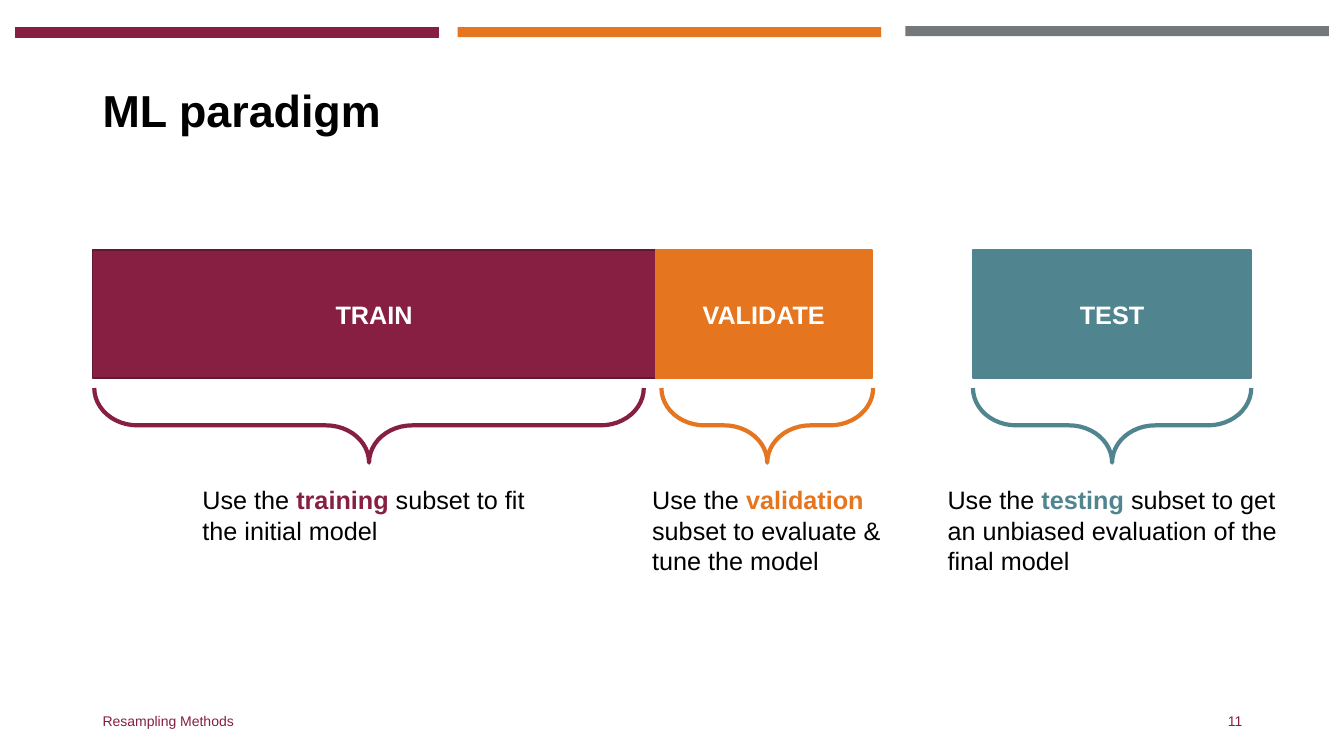
"""Build the ML paradigm slide with its train, validate and test subsets."""
from dataclasses import dataclass

from pptx import Presentation
from pptx import util as u
from pptx.dml import color
from pptx.enum import shapes, text

COLORS = {"maroon": "861F41", "dark_maroon": "631730", "orange": "E5751F",
          "teal": "508590", "gray": "75787B", "black": "000000", "white": "FFFFFF"}
BODY = {"name": "Arial", "size": u.Pt(18), "bold": False}
STRONG = {**BODY, "bold": True}
TITLE = {**STRONG, "size": u.Pt(32)}
FOOTER = {**BODY, "size": u.Pt(10)}
BLOCK_TOP, BLOCK_HEIGHT = 2.48, 1.27
BRACE_MIDDLE, BRACE_DEPTH = 4.22, 0.74
CAPTION_TOP = 4.76


@dataclass(frozen=True)
class Band:
    left: float
    top: float
    hue: str


@dataclass(frozen=True)
class Run:
    words: str
    style: dict
    hue: str = "black"


@dataclass(frozen=True)
class Subset:
    label: str
    hue: str
    edge: str
    left: float
    width: float
    brace_center: float
    brace_span: float
    caption_left: float
    caption_width: float
    caption_height: float
    keyword: str
    purpose: str


BANDS = [Band(0.15, 0.27, "maroon"), Band(4.54, 0.27, "orange"),
         Band(8.98, 0.26, "gray")]
SUBSETS = [
    Subset("TRAIN", "maroon", "dark_maroon", 0.92, 5.58, 3.66, 5.45,
           1.91, 3.5, 0.71, "training", " subset to fit the initial model"),
    Subset("VALIDATE", "orange", "orange", 6.5, 2.15, 7.61, 2.1,
           6.37, 2.5, 1.01, "validation", " subset to evaluate & tune the model"),
    Subset("TEST", "teal", "teal", 9.65, 2.76, 11.03, 2.76,
           9.3, 3.53, 1.01, "testing",
           " subset to get an unbiased evaluation of the final model"),
]


def rgb(hue: str) -> color.RGBColor:
    return color.RGBColor.from_string(COLORS[hue])


def write(frame, runs: list[Run], anchor=text.MSO_ANCHOR.MIDDLE,
          align=text.PP_ALIGN.LEFT) -> None:
    frame.word_wrap = True
    frame.vertical_anchor = anchor
    paragraph = frame.paragraphs[0]
    paragraph.alignment = align
    for piece in runs:
        run = paragraph.add_run()
        run.text = piece.words
        for attribute, value in piece.style.items():
            setattr(run.font, attribute, value)
        run.font.color.rgb = rgb(piece.hue)


def add_words(slide, left: float, top: float, width: float, height: float,
              runs: list[Run], **layout):
    box = slide.shapes.add_textbox(*map(u.Inches, (left, top, width, height)))
    write(box.text_frame, runs, **layout)
    return box.text_frame


def add_block(slide, left: float, top: float, width: float, height: float,
              fill: str | None, line: str | None, weight: float = 1,
              kind=shapes.MSO_SHAPE.RECTANGLE):
    block = slide.shapes.add_shape(kind, *map(u.Inches, (left, top, width, height)))
    block.shadow.inherit = False
    if fill:
        block.fill.solid()
        block.fill.fore_color.rgb = rgb(fill)
    else:
        block.fill.background()
    if line:
        block.line.color.rgb = rgb(line)
        block.line.width = u.Pt(weight)
    else:
        block.line.fill.background()
    return block


def add_subset(slide, subset: Subset) -> None:
    block = add_block(slide, subset.left, BLOCK_TOP, subset.width, BLOCK_HEIGHT,
                      subset.hue, subset.edge)
    write(block.text_frame, [Run(subset.label, STRONG, "white")],
          align=text.PP_ALIGN.CENTER)
    brace = add_block(slide, subset.brace_center - BRACE_DEPTH / 2,
                      BRACE_MIDDLE - subset.brace_span / 2,
                      BRACE_DEPTH, subset.brace_span, None, subset.hue, 3,
                      shapes.MSO_SHAPE.RIGHT_BRACE)
    brace.rotation = 90
    brace.adjustments[0] = 0.578
    caption = [Run("Use the ", BODY), Run(subset.keyword, STRONG, subset.hue),
               Run(subset.purpose, BODY)]
    add_words(slide, subset.caption_left, CAPTION_TOP, subset.caption_width,
              subset.caption_height, caption, anchor=text.MSO_ANCHOR.TOP)


def main() -> None:
    deck = Presentation()
    deck.slide_width, deck.slide_height = u.Inches(13.33), u.Inches(7.5)
    slide = deck.slides.add_slide(deck.slide_layouts[6])
    for band in BANDS:
        edge = "maroon" if band.hue == "maroon" else None
        add_block(slide, band.left, band.top, 4.2, 0.1, band.hue, edge, 0.75)
    heading = add_words(slide, 0.92, 0.4, 11.5, 1.45, [Run("ML paradigm", TITLE)])
    heading.paragraphs[0].line_spacing = 0.9
    add_words(slide, 0.92, 6.95, 4.5, 0.4, [Run("Resampling Methods", FOOTER, "maroon")])
    add_words(slide, 9.42, 6.95, 3, 0.4, [Run("11", FOOTER, "maroon")],
              align=text.PP_ALIGN.RIGHT)
    for subset in SUBSETS:
        add_subset(slide, subset)
    deck.save("out.pptx")


if __name__ == "__main__":
    main()
